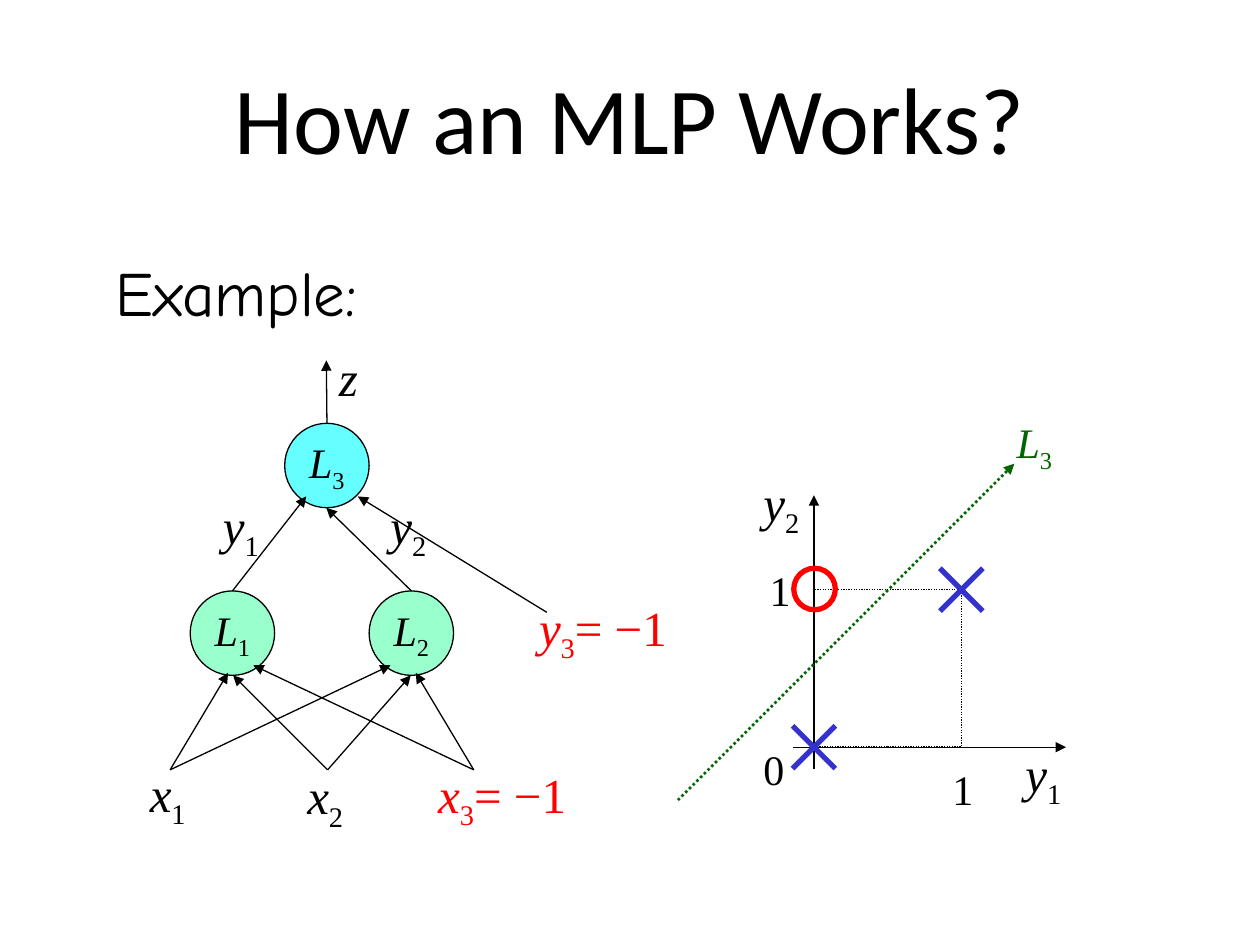
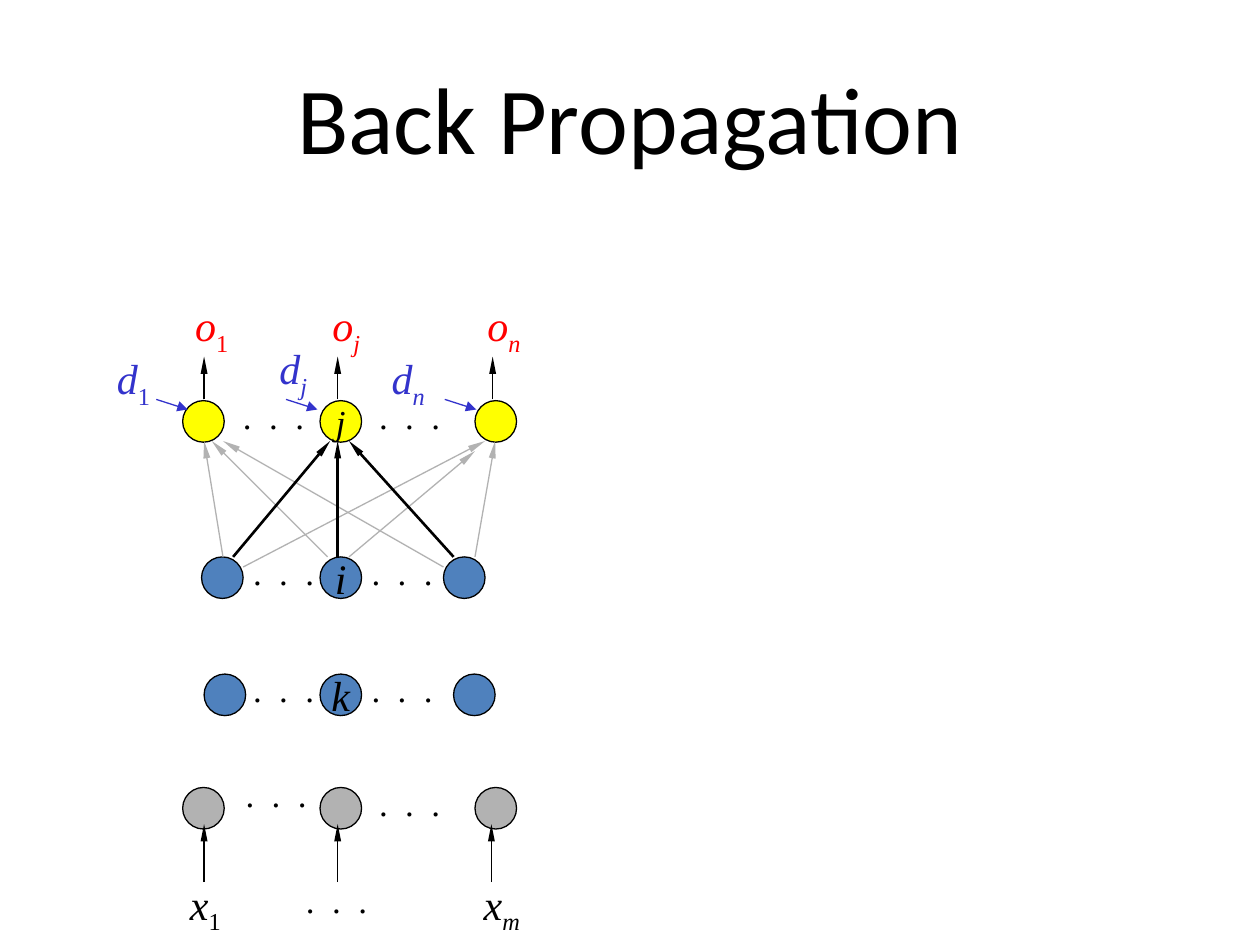
from lxml import etree
from pptx import Presentation
from pptx import util as u
from pptx.dml.color import RGBColor
from pptx.enum import dml, shapes, text
from pptx.oxml.ns import qn

PX = 9144  # 100 px to the inch
HUES = {
    "ink": "000000", "red": "FF0000", "blue": "3333CC", "green": "006600",
    "mint": "99FFCC", "cyan": "66FFFF", "gold": "FFFF00", "steel": "4F81BD",
    "gray": "B2B2B2",
}
MATH, HEAD, HAND = "Times New Roman", "Calibri", "Comic Neue"
HIGH = {20: 43, 24: 50, 28: 57, 36: 70}  # box height for each text size
THIN, LONG = 0.75, ("sm", "lg")
DOTS = ". . ."


def rgb(hue):
    return RGBColor.from_string(HUES[hue])


def style(run, size, hue, face, slant=False):
    font = run.font
    font.size, font.name, font.italic = u.Pt(size), face, slant
    font.color.rgb = rgb(hue)


def write(par, name, sub="", tail="", size=24, hue="ink", face=MATH):
    """Write a symbol with its subscript; single letters are italic."""
    par.text = name
    style(par.runs[0], size, hue, face, name.isalpha())
    if sub:
        low = par.add_run()
        low.text = sub
        style(low, size, hue, face, sub.isalpha())
        low._r.get_or_add_rPr().set("baseline", "-25000")
    if tail:
        rest = par.add_run()
        rest.text = tail
        style(rest, size, hue, face)


def trace(line, hue, width, dash):
    line.color.rgb = rgb(hue)
    line.width = u.Pt(width)
    if dash:
        line.dash_style = dml.MSO_LINE.ROUND_DOT


class Area:
    """A region of a slide; all places are relative to its corner."""

    def __init__(self, slide, x, y):
        self.shapes, self.x, self.y = slide.shapes, x, y

    def spot(self, x, y):
        return (self.x + x) * PX, (self.y + y) * PX

    def note(self, x, y, wide, name, sub="", tail="", size=24, **look):
        box = self.shapes.add_textbox(*self.spot(x, y), wide * PX, HIGH[size] * PX)
        frame = box.text_frame
        frame.word_wrap = False
        frame.auto_size = text.MSO_AUTO_SIZE.SHAPE_TO_FIT_TEXT
        write(frame.paragraphs[0], name, sub, tail, size, **look)
        return box

    def dots(self, x, y):
        box = self.note(x, y, 69, DOTS, size=20)
        box.text_frame.paragraphs[0].runs[0]._r.get_or_add_rPr().set("spc", "250")

    def form(self, kind, x, y, wide, high, fill=None, hue="ink", width=THIN, dash=False):
        item = self.shapes.add_shape(kind, *self.spot(x, y), wide * PX, high * PX)
        item.shadow.inherit = False
        if fill:
            item.fill.solid()
            item.fill.fore_color.rgb = rgb(fill)
        else:
            item.fill.background()
        trace(item.line, hue, width, dash)
        return item

    def disc(self, x, y, side, fill=None, name="", sub="", size=24, **look):
        item = self.form(shapes.MSO_SHAPE.OVAL, x, y, side, side, fill, **look)
        if name:
            frame = item.text_frame
            frame.word_wrap = False
            frame.vertical_anchor = text.MSO_ANCHOR.MIDDLE
            par = frame.paragraphs[0]
            par.alignment = text.PP_ALIGN.CENTER
            write(par, name, sub, size=size)
        return item

    def line(self, start, end, hue="ink", width=THIN, dash=False, tip=None):
        """Draw a line; tip is the (width, length) of an arrowhead at its end."""
        item = self.shapes.add_connector(
            shapes.MSO_CONNECTOR.STRAIGHT, *self.spot(*start), *self.spot(*end))
        trace(item.line, hue, width, dash)
        if tip:
            etree.SubElement(item.line._get_or_add_ln(), qn("a:tailEnd"),
                             type="triangle", w=tip[0], len=tip[1])
        etree.SubElement(item._element.spPr, qn("a:effectLst"))
        return item

    def arrow(self, start, end, tip=("med", "med"), **look):
        return self.line(start, end, tip=tip, **look)

    def cross(self, x, y, half=17):
        for rise in (half, -half):
            self.line((x - half, y - rise), (x + half, y + rise), "blue", 3)


def title(slide, words):
    box = slide.shapes.add_textbox(50 * PX, 30 * PX, 900 * PX, 125 * PX)
    frame = box.text_frame
    frame.word_wrap = True
    frame.vertical_anchor = text.MSO_ANCHOR.MIDDLE
    par = frame.paragraphs[0]
    par.text = words
    par.alignment = text.PP_ALIGN.CENTER
    style(par.runs[0], 54, "ink", HEAD)


def plot(slide, x, y):
    """Plane of y1 and y2, split by the line L3."""
    area = Area(slide, x, y)
    left, low, right, top = 108, 267, 225, 142
    area.arrow((left - 17, low), (308, low))
    area.arrow((left, low + 17), (left, 67))
    area.form(shapes.MSO_SHAPE.RECTANGLE, left, top, right - left, low - top, dash=True)
    for across, down, mark in ((58, 259, "0"), (208, 275, "1"), (63, 117, "1")):
        area.note(across, down, 37, mark)
    area.disc(92, 125, 33, hue="red", width=3)
    area.cross(left, low)
    area.cross(right, top)
    area.note(266, 259, 51, "y", "1", size=28)
    area.note(58, 44, 51, "y", "2", size=28)
    area.arrow((0, 309), (267, 42), hue="green", width=1.5, dash=True)
    area.note(259, 0, 50, "L", "3", hue="green")


def net(slide, x, y):
    """Two-layer network from the inputs x to the output z."""
    area = Area(slide, x, y)
    first = area.disc(51, 199, 67, "mint", "L", "1")
    second = area.disc(193, 199, 67, "mint", "L", "2")
    last = area.disc(126, 66, 67, "cyan", "L", "3")

    for start, ends in ((35, ((210, 258), (81, 264))),
                        (160, ((226, 266), (85, 266))),
                        (276, ((101, 258), (230, 264)))):
        for end in ends:
            area.arrow((start, 341), end)
    area.arrow((85, 199), (143, 124)).begin_connect(first, 0)
    area.arrow((226, 199), (159, 133)).begin_connect(second, 0)
    area.arrow((334, 216), (184, 124))
    area.arrow((159, 66), (159, 16)).begin_connect(last, 0)

    for across, down, name, sub in ((9, 331, "x", "1"), (134, 333, "x", "2"),
                                    (67, 118, "y", "1"), (200, 118, "y", "2")):
        area.note(across, down, 51, name, sub, size=28)
    for across, down, name in ((238, 332, "x"), (318, 199, "y")):
        area.note(across, down, 123, name, "3", "= −1", size=28, hue="red")
    area.note(159, 1, 35, "z", size=28)


def stack(slide, x, y):
    """Layers of units with targets d and outputs o."""
    area = Area(slide, x, y)
    mid = 171
    rows = (  # top, left and right unit, fill, middle name and size, dots
        (392, 62, 294, "gray", "", 24, ((102, 375), (208, 382))),
        (302, 79, 277, "steel", "k", 24, ((108, 292), (202, 292))),
        (209, 77, 269, "steel", "i", 24, ((108, 199), (202, 199))),
        (85, 62, 294, "gold", "j", 20, ((100, 75), (208, 75))),
    )
    for top, left, right, fill, name, size, gaps in rows:
        area.disc(left, top, 33, fill)
        area.disc(mid, top, 33, fill, name, size=size)
        area.disc(right, top, 33, fill)
        for gap in gaps:
            area.dots(*gap)

    ports = (  # subscript, o place, d place, blue start, output and input axis
        ("1", 62, (0, 42), 41, 79, 79),
        ("j", mid, (129, 34), 144, 185, 185),
        ("n", 294, (218, 42), 270, 308, 307),
    )
    for sub, left, goal, start, out, feed in ports:
        wide = 43 if sub == "j" else 48
        area.note(left, 0, wide, "o", sub, hue="red")
        area.note(*goal, wide, "d", sub, hue="blue")
        area.arrow((start, 84), (start + 25, 92), hue="blue")
        area.arrow((out, 84), (out, 50), LONG)
        area.arrow((feed, 467), (feed, 421), LONG)

    for start, end in (((94, 209), (79, 117)), ((110, 217), (302, 117)),
                       ((177, 209), (85, 117)), ((194, 209), (294, 125)),
                       ((294, 209), (310, 117)), ((269, 217), (94, 117))):
        area.arrow(start, end, LONG, hue="gray")
    for start, end in ((102, 179), (185, 185), (277, 194)):
        area.arrow((start, 209), (end, 117), LONG, width=1.5)

    area.note(58, 459, 46, "x", "1")
    area.dots(150, 459)
    area.note(291, 459, 51, "x", "m")


def main():
    deck = Presentation()
    deck.slide_width, deck.slide_height = 1000 * PX, 750 * PX
    blank = deck.slide_layouts[6]

    works = deck.slides.add_slide(blank)
    title(works, "How an MLP Works?")
    plot(works, 538, 326)
    net(works, 100, 270)
    Area(works, 82, 196).note(0, 0, 228, "Example:", size=36, face=HAND)

    back = deck.slides.add_slide(blank)
    title(back, "Back Propagation")
    stack(back, 83, 233)
    deck.save("out.pptx")


if __name__ == "__main__":
    main()
